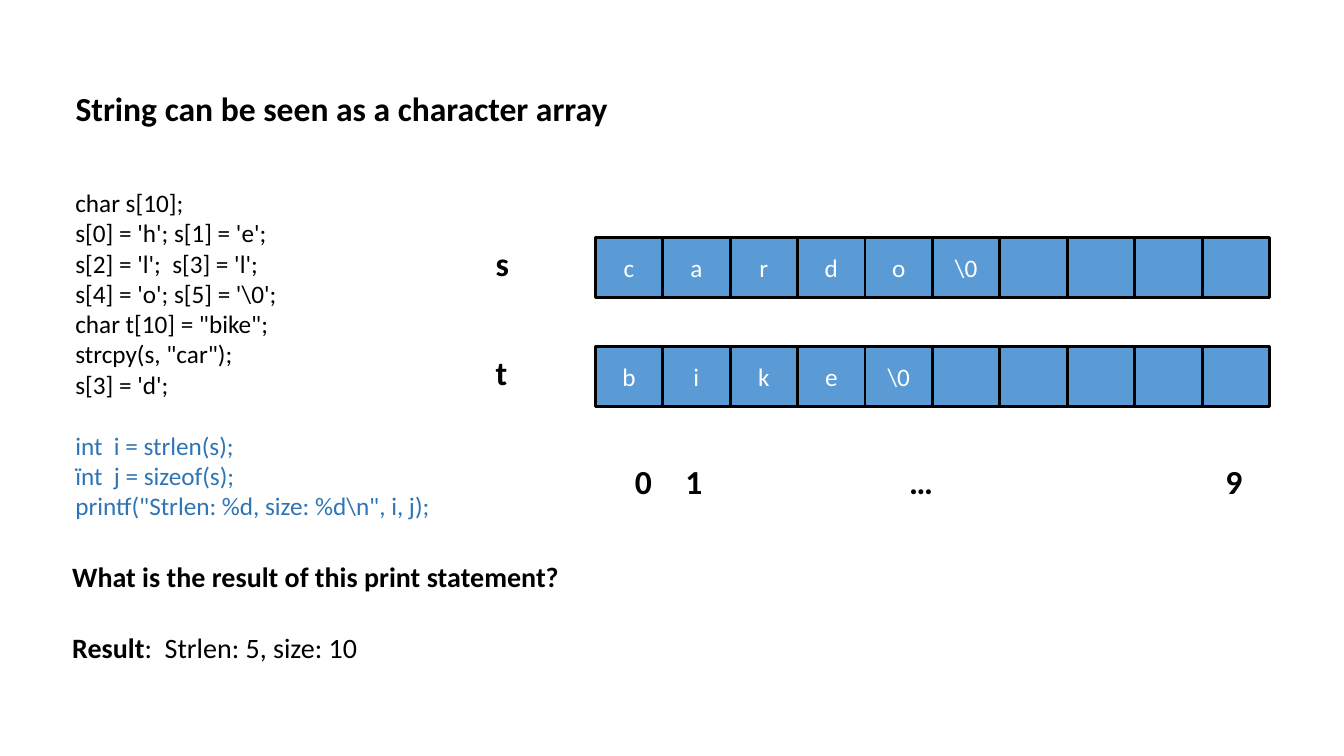
import pptx
import pptx.dml.color
import pptx.enum.shapes
import pptx.enum.text
import pptx.util

Cm = pptx.util.Cm
Pt = pptx.util.Pt
BLACK = pptx.dml.color.RGBColor(0x00, 0x00, 0x00)
WHITE = pptx.dml.color.RGBColor(0xFF, 0xFF, 0xFF)
CELL_BLUE = pptx.dml.color.RGBColor(0x5B, 0x9B, 0xD5)
CODE_BLUE = pptx.dml.color.RGBColor(0x2E, 0x75, 0xB6)
LEFT = pptx.enum.text.PP_ALIGN.LEFT
CENTER = pptx.enum.text.PP_ALIGN.CENTER

ARRAY_LENGTH = 10
ARRAY_LEFT, CELL_WIDTH, CELL_HEIGHT = 15, 1.7, 1.5
ARRAYS = [
    ("s", 5.99, ["c", "a", "r", "d", "o", "\\0"]),
    ("t", 8.74, ["b", "i", "k", "e", "\\0"]),
]
INDEXES = [("0", 15.75), ("1", 17.02), ("…", 22.66), ("9", 30.63)]
FILLING_CODE = [
    "char s[10];",
    "s[0] = 'h'; s[1] = 'e';",
    "s[2] = 'l';  s[3] = 'l';",
    "s[4] = 'o'; s[5] = '\\0';",
    'char t[10] = "bike";',
    'strcpy(s, "car");',
    "s[3] = 'd';",
]
PRINTING_CODE = [
    "int  i = strlen(s);",
    "ïnt  j = sizeof(s);",
    'printf("Strlen: %d, size: %d\\n", i, j);',
]


class SlideBuilder:
    """Draws styled elements on the current slide."""

    def __init__(self, slide, font_name="Calibri"):
        self.slide = slide
        self.font_name = font_name

    def format_run(self, run, size, color=BLACK, bold=False):
        run.font.name = self.font_name
        run.font.size = Pt(size)
        run.font.color.rgb = color
        run.font.bold = bold

    def format_text(self, shape, size, color=BLACK, bold=False, alignment=LEFT):
        for paragraph in shape.text_frame.paragraphs:
            paragraph.alignment = alignment
            for run in paragraph.runs:
                self.format_run(run, size, color, bold)

    def title(self, text, left, top, width, height):
        title = self.slide.shapes.title
        title.left, title.top = Cm(left), Cm(top)
        title.width, title.height = Cm(width), Cm(height)
        title.text_frame.text = text
        title.text_frame.vertical_anchor = pptx.enum.text.MSO_ANCHOR.TOP
        title.text_frame.auto_size = pptx.enum.text.MSO_AUTO_SIZE.NONE
        self.format_text(title, 24, bold=True)

    def text(self, text, left, top, width, height, size, bold=False):
        box = self.slide.shapes.add_textbox(Cm(left), Cm(top), Cm(width), Cm(height))
        box.text_frame.word_wrap = True
        box.text_frame.text = text
        self.format_text(box, size, bold=bold)
        return box

    def code(self, filling, printing, left, top, width, height):
        box = self.text("\n".join(filling + printing), left, top, width, height, 18)
        printing_paragraphs = box.text_frame.paragraphs[len(filling):]
        printing_paragraphs[0].space_before = Pt(22)
        for paragraph in printing_paragraphs:
            self.format_run(paragraph.runs[0], 18, CODE_BLUE)

    def label(self, text, left, top):
        self.text(text, left, top, 1.04, 1.27, 24, bold=True)

    def cell(self, text, left, top):
        cell = self.slide.shapes.add_shape(
            pptx.enum.shapes.MSO_SHAPE.RECTANGLE,
            Cm(left), Cm(top), Cm(CELL_WIDTH), Cm(CELL_HEIGHT))
        cell.shadow.inherit = False
        cell.fill.solid()
        cell.fill.fore_color.rgb = CELL_BLUE
        cell.line.color.rgb = BLACK
        cell.line.width = Pt(2)
        cell.text_frame.text = text
        cell.text_frame.vertical_anchor = pptx.enum.text.MSO_ANCHOR.MIDDLE
        self.format_text(cell, 18, WHITE, alignment=CENTER)

    def array(self, name, top, characters):
        self.label(name, 12.24, top)
        padding = [""] * (ARRAY_LENGTH - len(characters))
        for index, character in enumerate(characters + padding):
            self.cell(character, ARRAY_LEFT + index * CELL_WIDTH, top)


def main():
    presentation = pptx.Presentation()
    presentation.slide_width = Cm(33.87)
    presentation.slide_height = Cm(19.05)
    slide = presentation.slides.add_slide(presentation.slide_layouts[5])
    builder = SlideBuilder(slide)

    builder.title("String can be seen as a character array", 1.65, 2.08, 23.75, 1.27)
    builder.code(FILLING_CODE, PRINTING_CODE, 1.65, 4.6, 9.53, 8.71)
    for name, top, characters in ARRAYS:
        builder.array(name, top, characters)
    for index, left in INDEXES:
        builder.label(index, left, 11.5)
    builder.text("What is the result of this print statement?",
                 1.57, 13.97, 18.54, 1.12, 20, bold=True)
    result = builder.text("Result", 1.57, 15.77, 10.29, 1.12, 20, bold=True)
    answer = result.text_frame.paragraphs[0].add_run()
    answer.text = ":  Strlen: 5, size: 10"
    builder.format_run(answer, 20)

    presentation.save("out.pptx")


if __name__ == "__main__":
    main()
